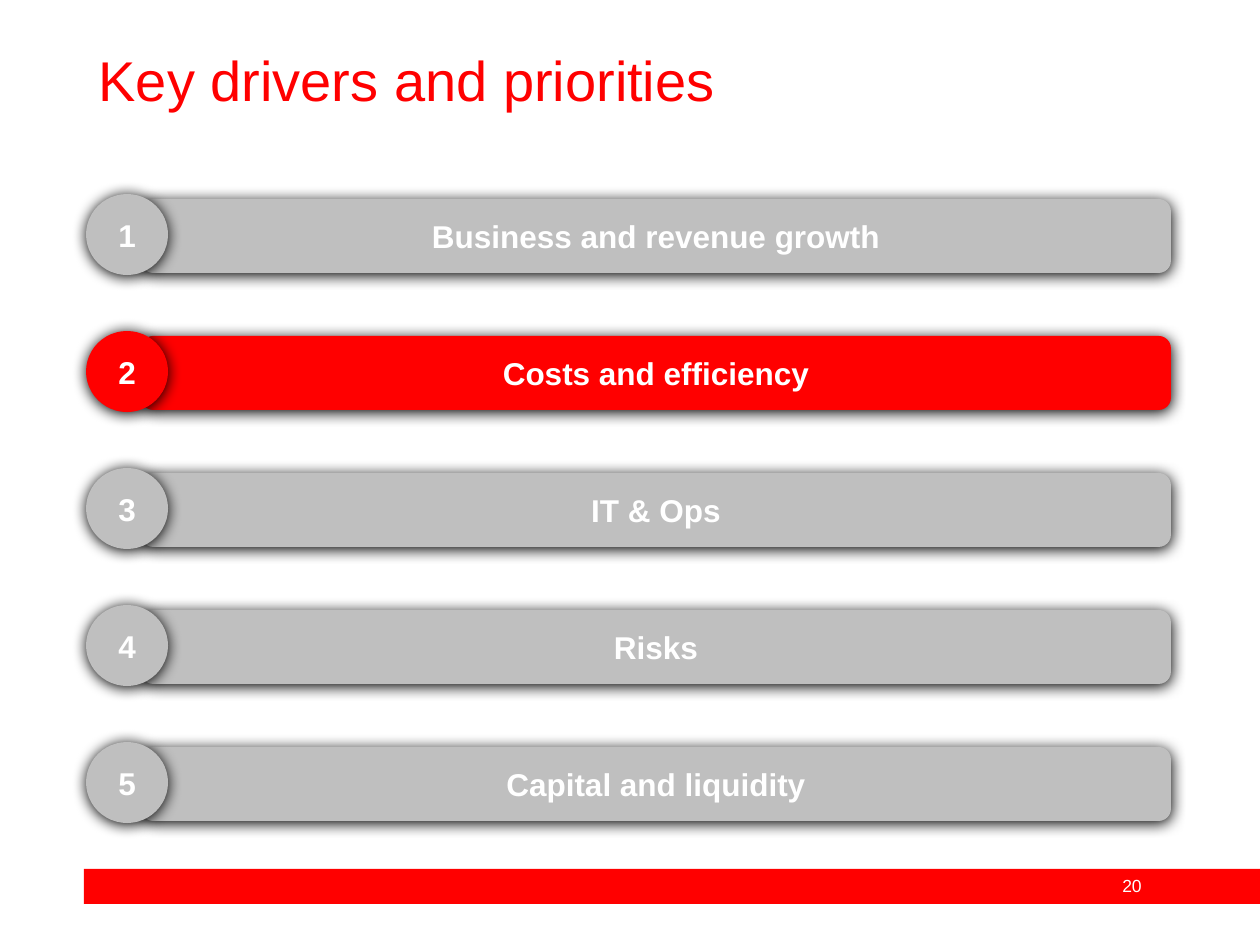
from lxml import etree
from pptx import Presentation
from pptx import util as u
from pptx.dml.color import RGBColor
from pptx.enum import shapes, text
from pptx.oxml.ns import qn

PX = 914400 / 126
FONT = "Arial"
RED, GREY, WHITE, BLACK = "FF0000", "BFBFBF", "FFFFFF", "000000"
DRIVERS = ["Business and revenue growth", "Costs and efficiency", "IT & Ops",
           "Risks", "Capital and liquidity"]
ACTIVE = 2
ROW_PITCH = 137


def px(value):
    return u.Emu(round(value * PX))


def color(hex_string):
    return RGBColor.from_string(hex_string)


def write(frame, words, size, hex_string, bold=False, align=text.PP_ALIGN.CENTER):
    para = frame.paragraphs[0]
    para.alignment = align
    span = para.add_run()
    span.text = words
    span.font.name = FONT
    span.font.size = u.Pt(size)
    span.font.bold = bold
    span.font.color.rgb = color(hex_string)


def add_block(parent, kind, box, fill):
    block = parent.add_shape(kind, *map(px, box))
    block.shadow.inherit = False
    block.fill.solid()
    block.fill.fore_color.rgb = color(fill)
    block.line.fill.background()
    return block


def add_shadow(shape):
    effects = shape._element.spPr.find(qn("a:effectLst"))
    shadow = etree.SubElement(
        effects, qn("a:outerShdw"), blurRad=str(u.Pt(8.5)), dist=str(u.Pt(1)),
        dir="5400000", algn="ctr", rotWithShape="0")
    etree.SubElement(shadow, qn("a:srgbClr"), val=BLACK)


def add_title(page, box, words):
    title = page.shapes.title
    title.left, title.top, title.width, title.height = map(px, box)
    frame = title.text_frame
    frame.word_wrap = True
    frame.auto_size = text.MSO_AUTO_SIZE.NONE
    frame.vertical_anchor = text.MSO_ANCHOR.TOP
    write(frame, words, 32, RED, align=text.PP_ALIGN.LEFT)


def add_driver(page, box, number, words):
    """Place a label bar with a numbered disc over its left end."""
    left, top, width, height = box
    fill = RED if number == ACTIVE else GREY
    group = page.shapes.add_group_shape().shapes
    parts = [
        (shapes.MSO_SHAPE.ROUNDED_RECTANGLE,
         (left + 55, top + 5, width - 55, height - 7), words),
        (shapes.MSO_SHAPE.OVAL, (left, top, 82, height), str(number)),
    ]
    for kind, part_box, label in parts:
        part = add_block(group, kind, part_box, fill)
        add_shadow(part)
        part.text_frame.word_wrap = True
        part.text_frame.vertical_anchor = text.MSO_ANCHOR.MIDDLE
        write(part.text_frame, label, 18, WHITE, bold=True)


def add_footer(page, box, number):
    left, top, width, height = box
    add_block(page.shapes, shapes.MSO_SHAPE.RECTANGLE, box, RED)
    label = page.shapes.add_textbox(*map(px, (left + 1013, top, 70, height)))
    label.text_frame.word_wrap = True
    write(label.text_frame, number, 10, WHITE)


def main():
    deck = Presentation()
    deck.slide_width, deck.slide_height = px(1260), px(945)
    page = deck.slides.add_slide(deck.slide_layouts[5])
    add_footer(page, (84, 869, 1176, 35), "20")
    add_title(page, (86, 39, 1086, 72), "Key drivers and priorities")
    for index, words in enumerate(DRIVERS):
        add_driver(page, (86, 194 + index * ROW_PITCH, 1085, 81), index + 1, words)
    deck.save("out.pptx")


if __name__ == "__main__":
    main()
